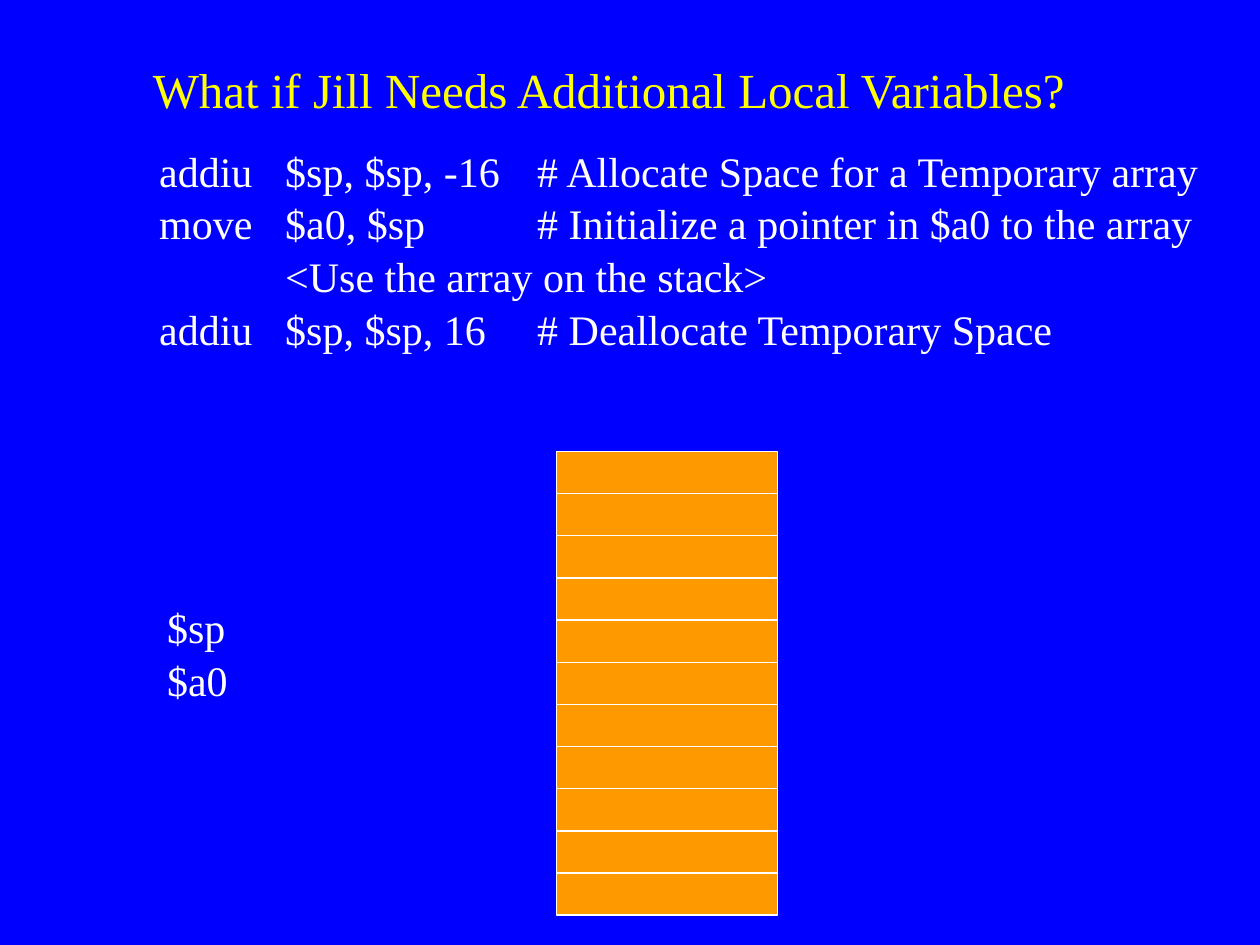
"""Build the slide on allocating a temporary array on the stack."""
from lxml import etree
from pptx import Presentation
from pptx.dml.color import RGBColor
from pptx.enum.shapes import MSO_CONNECTOR, MSO_SHAPE
from pptx.enum.text import MSO_ANCHOR, PP_ALIGN
from pptx.oxml.ns import qn
from pptx.util import Cm, Pt

RECT, STRAIGHT = MSO_SHAPE.RECTANGLE, MSO_CONNECTOR.STRAIGHT
MIDDLE, TOP = MSO_ANCHOR.MIDDLE, MSO_ANCHOR.TOP
CENTER, LEFT = PP_ALIGN.CENTER, PP_ALIGN.LEFT
COLORS = {k: RGBColor.from_string(v) for k, v in {
    "background": "0000FF", "title": "FFFF00", "text": "FFFFFF", "cell": "FF9900"}.items()}
TITLE = {"size": Pt(28), "name": "Times New Roman"}
CODE = {"size": Pt(24), "name": "Times New Roman"}


def write(sp, lines, font, color, align, anchor, wrap):
    tf = sp.text_frame
    tf.text = "\n".join(lines)
    tf.word_wrap, tf.vertical_anchor = wrap, anchor
    for p in tf.paragraphs:
        p.alignment = align
        for r in p.runs:
            for key, value in font.items():
                setattr(r.font, key, value)
            r.font.color.rgb = COLORS[color]


prs = Presentation()
prs.slide_width, prs.slide_height = Cm(25.4), Cm(19.05)
s = prs.slides.add_slide(prs.slide_layouts[5])
s.background.fill.solid()
s.background.fill.fore_color.rgb = COLORS["background"]

title = s.shapes.title
title.left, title.top, title.width, title.height = Cm(1.48), Cm(0.85), Cm(21.59), Cm(1.9)
write(title, ["What if Jill Needs Additional Local Variables?"], TITLE, "title", CENTER, MIDDLE, True)

code = s.shapes.add_textbox(Cm(0.42), Cm(2.75), Cm(24.55), Cm(4.32))
write(code, [
    "\taddiu\t$sp, $sp, -16\t# Allocate Space for a Temporary array",
    "\tmove\t$a0, $sp\t# Initialize a pointer in $a0 to the array",
    "\t\t<Use the array on the stack>",
    "\taddiu\t$sp, $sp, 16\t# Deallocate Temporary Space",
], CODE, "text", LEFT, TOP, True)
registers = s.shapes.add_textbox(Cm(3.12), Cm(11.96), Cm(1.73), Cm(2.29))
write(registers, ["$sp", "$a0"], CODE, "text", LEFT, TOP, False)

for sp in (code, registers):
    for p in sp.text_frame.paragraphs:
        p.line_spacing = 1.05
for p in code.text_frame.paragraphs:
    tabs = etree.SubElement(p._p.get_or_add_pPr(), qn("a:tabLst"))
    for stop in (2.54, 5.08, 10.16):
        etree.SubElement(tabs, qn("a:tab"), pos=str(Cm(stop)), algn="l")

left, top, width, cell_height, cells = 11.22, 9.1, 4.45, 0.85, 11
stack = s.shapes.add_shape(RECT, Cm(left), Cm(top), Cm(width), Cm(cells * cell_height))
stack.shadow.inherit = False
stack.fill.solid()
stack.fill.fore_color.rgb = COLORS["cell"]
dividers = []
for i in range(1, cells):
    y = Cm(top + i * cell_height)
    divider = s.shapes.add_connector(STRAIGHT, Cm(left), y, Cm(left + width), y)
    etree.SubElement(divider._element.spPr, qn("a:effectLst"))
    dividers.append(divider)
for sp in [stack, *dividers]:
    sp.line.color.rgb = COLORS["text"]
    sp.line.width = Pt(0.75)
for divider in dividers:
    sp_pr = divider._element.spPr
    sp_pr.append(sp_pr.find(qn("a:effectLst")))

prs.save("out.pptx")
